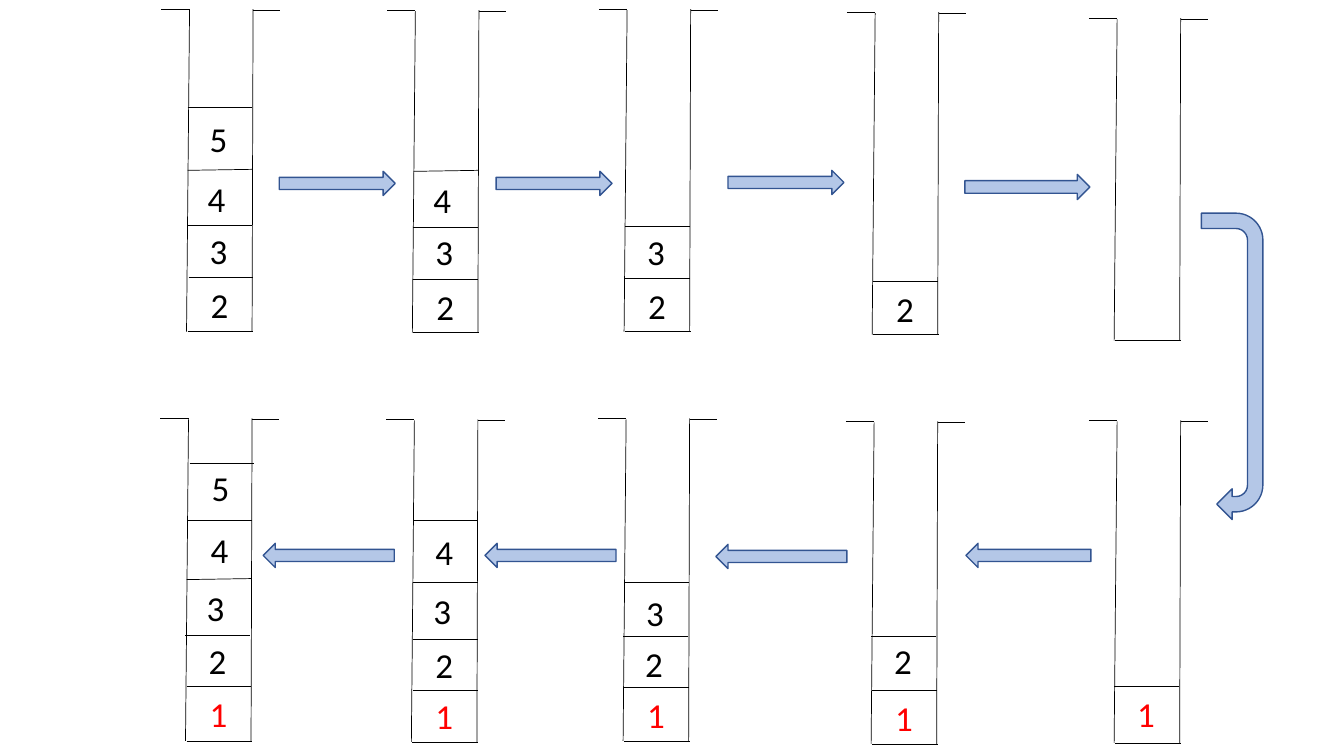
"""Draw a stack being emptied, then refilled above a new bottom item."""
from dataclasses import dataclass

from lxml import etree
from pptx import Presentation, slide as sl, util as u
from pptx.dml import color
from pptx.enum import shapes, text
from pptx.oxml import ns

Inches = u.Inches


@dataclass(frozen=True)
class Theme:
    ink: str = "000000"
    fresh: str = "FF0000"
    fill: str = "B4C7E7"
    edge: str = "325491"
    font: str = "Calibri"
    size: float = 25
    thin: float = 0.5
    thick: float = 1


@dataclass(frozen=True)
class Cell:
    label: str
    left: float
    rim: float
    x: float
    y: float
    wide: float = 0.48
    rise: float = 0


@dataclass(frozen=True)
class Stack:
    left: float
    top: float
    cells: tuple[Cell, ...] = ()


@dataclass(frozen=True)
class Arrow:
    left: float
    top: float
    wide: float
    high: float = 0.24
    turn: float = 0
    kind: shapes.MSO_SHAPE = shapes.MSO_SHAPE.RIGHT_ARROW


THEME = Theme()
WALLS = (
    (0, 0, 0.28, 0),
    (0.91, 0.01, 1.18, 0.01),
    (0.28, 0.01, 0.25, 3.2),
    (0.91, 0, 0.9, 3.2),
    (0.26, 3.2, 0.91, 3.2),
)
CELL_W = 0.64
STACKS = (
    Stack(1.6, 0.09, (
        Cell("2", 1.87, 2.75, 1.99, 2.76, 0.36),
        Cell("3", 1.86, 2.24, 1.98, 2.23),
        Cell("4", 1.86, 1.69, 1.96, 1.71, rise=0.01),
        Cell("5", 1.86, 1.07, 1.98, 1.12, 0.37))),
    Stack(3.84, 0.1, (
        Cell("2", 4.1, 2.77, 4.23, 2.78, 0.36),
        Cell("3", 4.1, 2.26, 4.22, 2.24),
        Cell("4", 4.1, 1.7, 4.2, 1.72, rise=0.01))),
    Stack(5.94, 0.09, (
        Cell("2", 6.2, 2.76, 6.33, 2.77, 0.36),
        Cell("3", 6.2, 2.25, 6.32, 2.24))),
    Stack(8.4, 0.12, (Cell("2", 8.66, 2.79, 8.79, 2.8, 0.36),)),
    Stack(10.8, 0.18),
    Stack(1.59, 4.15, (
        Cell("1", 1.85, 6.81, 1.98, 6.82, 0.36),
        Cell("2", 1.84, 6.3, 1.97, 6.29),
        Cell("3", 1.85, 5.75, 1.95, 5.77, rise=0.01),
        Cell("4", 1.86, 5.16, 1.99, 5.19, 0.3),
        Cell("5", 1.88, 4.6, 2, 4.58, 0.37))),
    Stack(3.83, 4.16, (
        Cell("1", 4.1, 6.85, 4.22, 6.84, 0.36),
        Cell("2", 4.1, 6.34, 4.22, 6.33),
        Cell("3", 4.1, 5.78, 4.2, 5.8),
        Cell("4", 4.1, 5.16, 4.22, 5.21, 0.37))),
    Stack(5.93, 4.15, (
        Cell("1", 6.19, 6.82, 6.32, 6.83, 0.36),
        Cell("2", 6.18, 6.31, 6.3, 6.32),
        Cell("3", 6.19, 5.78, 6.31, 5.82))),
    Stack(8.39, 4.18, (
        Cell("1", 8.65, 6.85, 8.78, 6.86, 0.36),
        Cell("2", 8.64, 6.31, 8.77, 6.29))),
    Stack(10.8, 4.17, (Cell("1", 11.05, 6.81, 11.18, 6.82, 0.36),)),
)
ARROWS = (
    Arrow(2.77, 1.7, 1.15),
    Arrow(4.92, 1.7, 1.15),
    Arrow(7.22, 1.69, 1.15),
    Arrow(9.57, 1.73, 1.24, 0.25),
    Arrow(9.58, 5.39, 1.24, turn=180),
    Arrow(7.1, 5.4, 1.3, turn=180),
    Arrow(4.81, 5.39, 1.3, turn=180),
    Arrow(2.61, 5.39, 1.3, turn=180),
    Arrow(10.7, 3.33, 3.04, 0.61, 90, shapes.MSO_SHAPE.U_TURN_ARROW),
)


def rgb(code: str) -> color.RGBColor:
    """Turn a hex code into a colour."""
    return color.RGBColor.from_string(code)


def rule(page: sl.Slide, x: float, y: float, to_x: float, to_y: float) -> None:
    """Draw a thin straight line."""
    line = page.shapes.add_connector(
        shapes.MSO_CONNECTOR.STRAIGHT,
        Inches(x), Inches(y), Inches(to_x), Inches(to_y))
    line.line.color.rgb = rgb(THEME.ink)
    line.line.width = u.Pt(THEME.thin)
    etree.SubElement(line._element.spPr, ns.qn("a:effectLst"))


def digit(page: sl.Slide, cell: Cell) -> None:
    """Write the number of a cell."""
    box = page.shapes.add_textbox(
        Inches(cell.x), Inches(cell.y), Inches(cell.wide), Inches(0.52))
    frame = box.text_frame
    frame.word_wrap = True
    frame.auto_size = text.MSO_AUTO_SIZE.SHAPE_TO_FIT_TEXT
    run = frame.paragraphs[0].add_run()
    run.text = cell.label
    run.font.name = THEME.font
    run.font.size = u.Pt(THEME.size)
    run.font.color.rgb = rgb(THEME.fresh if cell.label == "1" else THEME.ink)


def draw_stack(page: sl.Slide, stack: Stack) -> None:
    """Draw the walls of a stack and its cells."""
    for x, y, to_x, to_y in WALLS:
        rule(page, stack.left + x, stack.top + y,
             stack.left + to_x, stack.top + to_y)
    for cell in stack.cells:
        rule(page, cell.left, cell.rim,
             cell.left + CELL_W, cell.rim - cell.rise)
        digit(page, cell)


def draw_arrow(page: sl.Slide, arrow: Arrow) -> None:
    """Draw a block arrow."""
    shape = page.shapes.add_shape(
        arrow.kind, Inches(arrow.left), Inches(arrow.top),
        Inches(arrow.wide), Inches(arrow.high))
    shape.rotation = arrow.turn
    shape.shadow.inherit = False
    shape.fill.solid()
    shape.fill.fore_color.rgb = rgb(THEME.fill)
    shape.line.color.rgb = rgb(THEME.edge)
    shape.line.width = u.Pt(THEME.thick)


def main() -> None:
    """Build and save the slide."""
    deck = Presentation()
    deck.slide_width, deck.slide_height = Inches(13.33), Inches(7.5)
    page = deck.slides.add_slide(deck.slide_layouts[6])
    for stack in STACKS:
        draw_stack(page, stack)
    for arrow in ARROWS:
        draw_arrow(page, arrow)
    deck.save("out.pptx")


main()
